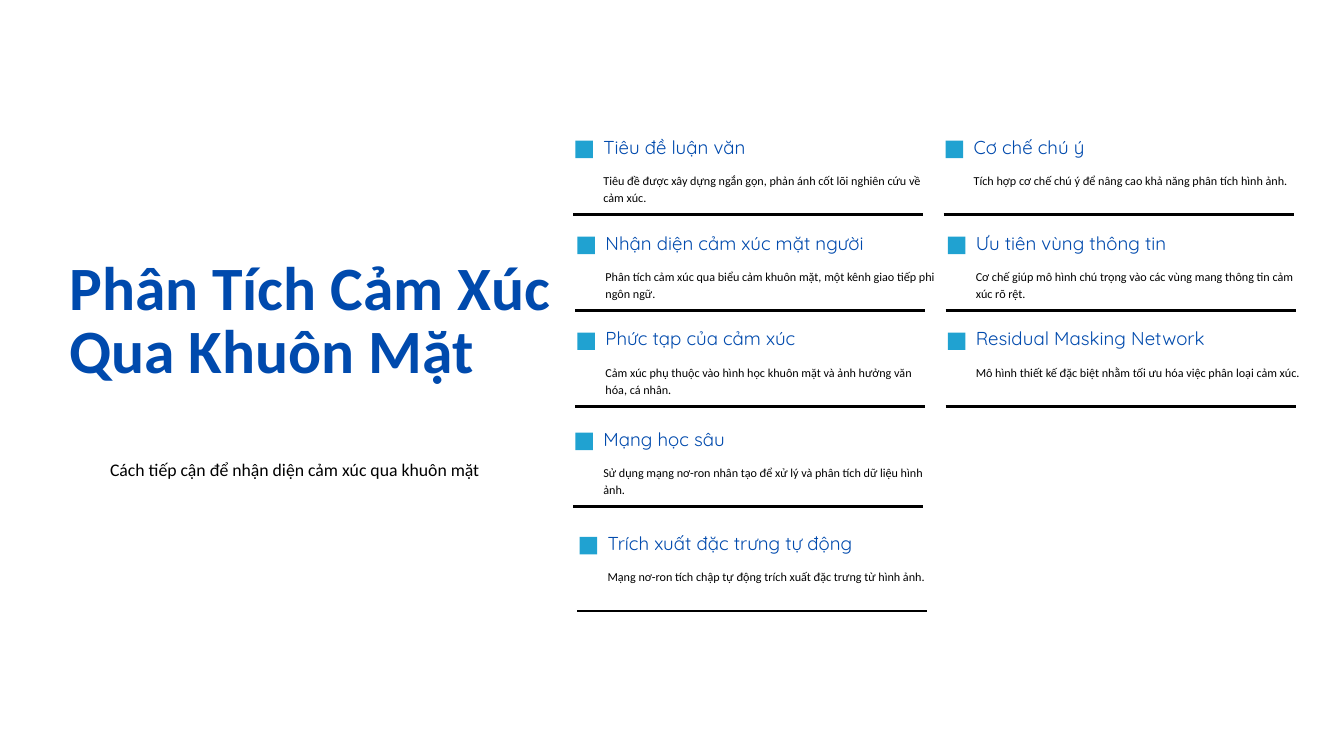
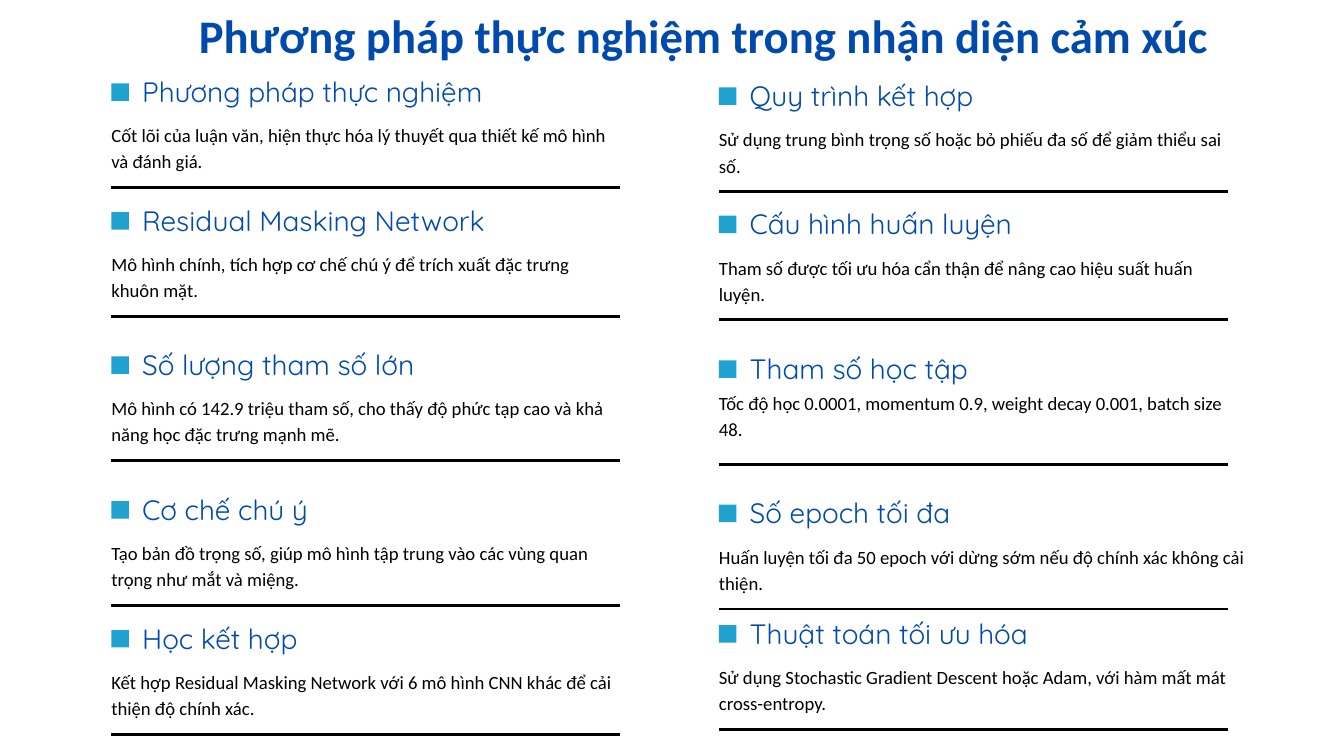
from dataclasses import dataclass

from lxml import etree
from pptx import Presentation
from pptx import util as u
from pptx.dml.color import RGBColor
from pptx.enum import shapes, text
from pptx.oxml.ns import qn

PX = 9525
BLUE = RGBColor(0x00, 0x4A, 0xAD)
CYAN = RGBColor(0x20, 0xA2, 0xD1)
BLACK = RGBColor(0, 0, 0)
SANS = "Calibri"
ROUND = "Quicksand"
LEFT = text.PP_ALIGN.LEFT
MID = text.PP_ALIGN.CENTER
MARK = 25


@dataclass
class Style:
    wide: int
    mark: tuple
    head: tuple
    body: tuple
    rule: int
    head_pt: int
    head_line: float
    body_pt: int
    body_line: float


SMALL = Style(500, (3, 3), (43, 0, 486, 29), (43, 46, 470, 73), 109,
              20, 20.6, 13, 18.2)
LARGE = Style(727, (0, 6), (44, 0, 718, 43), (0, 59, 727, 110), 155,
              30, 30.9, 20, 28)

TOPICS = [
    (819, 198, "Tiêu đề luận văn",
     "Tiêu đề được xây dựng ngắn gọn, phản ánh cốt lõi nghiên cứu về cảm xúc."),
    (1348, 198, "Cơ chế chú ý",
     "Tích hợp cơ chế chú ý để nâng cao khả năng phân tích hình ảnh."),
    (822, 335, "Nhận diện cảm xúc mặt người",
     "Phân tích cảm xúc qua biểu cảm khuôn mặt, một kênh giao tiếp phi ngôn ngữ."),
    (1351, 335, "Ưu tiên vùng thông tin",
     "Cơ chế giúp mô hình chú trọng vào các vùng mang thông tin cảm xúc rõ rệt."),
    (822, 472, "Phức tạp của cảm xúc",
     "Cảm xúc phụ thuộc vào hình học khuôn mặt và ảnh hưởng văn hóa, cá nhân."),
    (1351, 472, "Residual Masking Network",
     "Mô hình thiết kế đặc biệt nhằm tối ưu hóa việc phân loại cảm xúc."),
    (819, 615, "Mạng học sâu",
     "Sử dụng mạng nơ-ron nhân tạo để xử lý và phân tích dữ liệu hình ảnh."),
    (825, 764, "Trích xuất đặc trưng tự động",
     "Mạng nơ-ron tích chập tự động trích xuất đặc trưng từ hình ảnh."),
]

METHODS = [
    (159, 113, "Phương pháp thực nghiệm",
     "Cốt lõi của luận văn, hiện thực hóa lý thuyết qua thiết kế mô hình và đánh giá."),
    (159, 297, "Residual Masking Network",
     "Mô hình chính, tích hợp cơ chế chú ý để trích xuất đặc trưng khuôn mặt."),
    (159, 503, "Số lượng tham số lớn",
     "Mô hình có 142.9 triệu tham số, cho thấy độ phức tạp cao và khả năng học đặc trưng mạnh mẽ."),
    (159, 710, "Cơ chế chú ý",
     "Tạo bản đồ trọng số, giúp mô hình tập trung vào các vùng quan trọng như mắt và miệng."),
    (159, 894, "Học kết hợp",
     "Kết hợp Residual Masking Network với 6 mô hình CNN khác để cải thiện độ chính xác."),
    (1027, 119, "Quy trình kết hợp",
     "Sử dụng trung bình trọng số hoặc bỏ phiếu đa số để giảm thiểu sai số."),
    (1027, 302, "Cấu hình huấn luyện",
     "Tham số được tối ưu hóa cẩn thận để nâng cao hiệu suất huấn luyện."),
    (1027, 509, "Tham số học tập",
     "Tốc độ học 0.0001, momentum 0.9, weight decay 0.001, batch size 48.", -14),
    (1027, 715, "Số epoch tối đa",
     "Huấn luyện tối đa 50 epoch với dừng sớm nếu độ chính xác không cải thiện.", 0, 39),
    (1027, 887, "Thuật toán tối ưu hóa",
     "Sử dụng Stochastic Gradient Descent hoặc Adam, với hàm mất mát cross-entropy."),
]


def scale(*box):
    return [v * PX for v in box]


def write(shape, words, font, size, line, color, align=LEFT, bold=False):
    frame = shape.text_frame
    frame.text = words
    frame.word_wrap = True
    frame.auto_size = text.MSO_AUTO_SIZE.NONE
    frame.vertical_anchor = text.MSO_ANCHOR.TOP
    frame.margin_left = frame.margin_right = 0
    frame.margin_top = frame.margin_bottom = 0
    para = frame.paragraphs[0]
    para.alignment = align
    para.line_spacing = u.Pt(line)
    para.font.name = font
    para.font.size = u.Pt(size)
    para.font.bold = bold
    para.font.color.rgb = color


def add_text(slide, box, *args, **opts):
    write(slide.shapes.add_textbox(*scale(*box)), *args, **opts)


def add_title(slide, box, words, size, line, align=LEFT):
    title = slide.shapes.title
    title.left, title.top, title.width, title.height = scale(*box)
    write(title, words, SANS, size, line, BLUE, align, True)


def add_mark(slide, x, y):
    mark = slide.shapes.add_shape(shapes.MSO_SHAPE.RECTANGLE,
                                  *scale(x, y, MARK, MARK))
    mark.shadow.inherit = False
    mark.fill.solid()
    mark.fill.fore_color.rgb = CYAN
    mark.line.fill.background()


def add_rule(slide, x, y, wide):
    rule = slide.shapes.add_connector(shapes.MSO_CONNECTOR.STRAIGHT,
                                      *scale(x, y, x + wide, y))
    rule.line.color.rgb = BLACK
    rule.line.width = u.Pt(3)
    etree.SubElement(rule.element.spPr, qn("a:effectLst"))


def add_card(slide, style, x, y, head, body, shift=0, extra=0):
    def place(dx, dy, wide, high):
        return x + dx, y + dy, wide, high

    dx, dy, wide, high = style.body
    add_mark(slide, x + style.mark[0], y + style.mark[1])
    add_text(slide, place(*style.head), head, ROUND,
             style.head_pt, style.head_line, BLUE)
    add_text(slide, place(dx, dy + shift, wide + extra, high), body, SANS,
             style.body_pt, style.body_line, BLACK)
    add_rule(slide, x, y + style.rule, style.wide)


def add_cards(slide, style, cards):
    for card in cards:
        add_card(slide, style, *card)


def topic_slide(slide):
    add_title(slide, (99, 370, 690, 277),
              "Phân Tích Cảm Xúc Qua Khuôn Mặt", 66, 68)
    add_text(slide, (108, 651, 626, 34),
             "Cách tiếp cận để nhận diện cảm xúc qua khuôn mặt",
             SANS, 19, 26.6, BLACK, align=MID)
    add_cards(slide, SMALL, TOPICS)


def method_slide(slide):
    add_title(slide, (139, 21, 1733, 71),
              "Phương pháp thực nghiệm trong nhận diện cảm xúc", 50, 51.5, MID)
    add_cards(slide, LARGE, METHODS)


def main():
    deck = Presentation()
    deck.slide_width, deck.slide_height = scale(1920, 1080)
    for build in (topic_slide, method_slide):
        build(deck.slides.add_slide(deck.slide_layouts[5]))
    deck.save("out.pptx")


if __name__ == "__main__":
    main()
